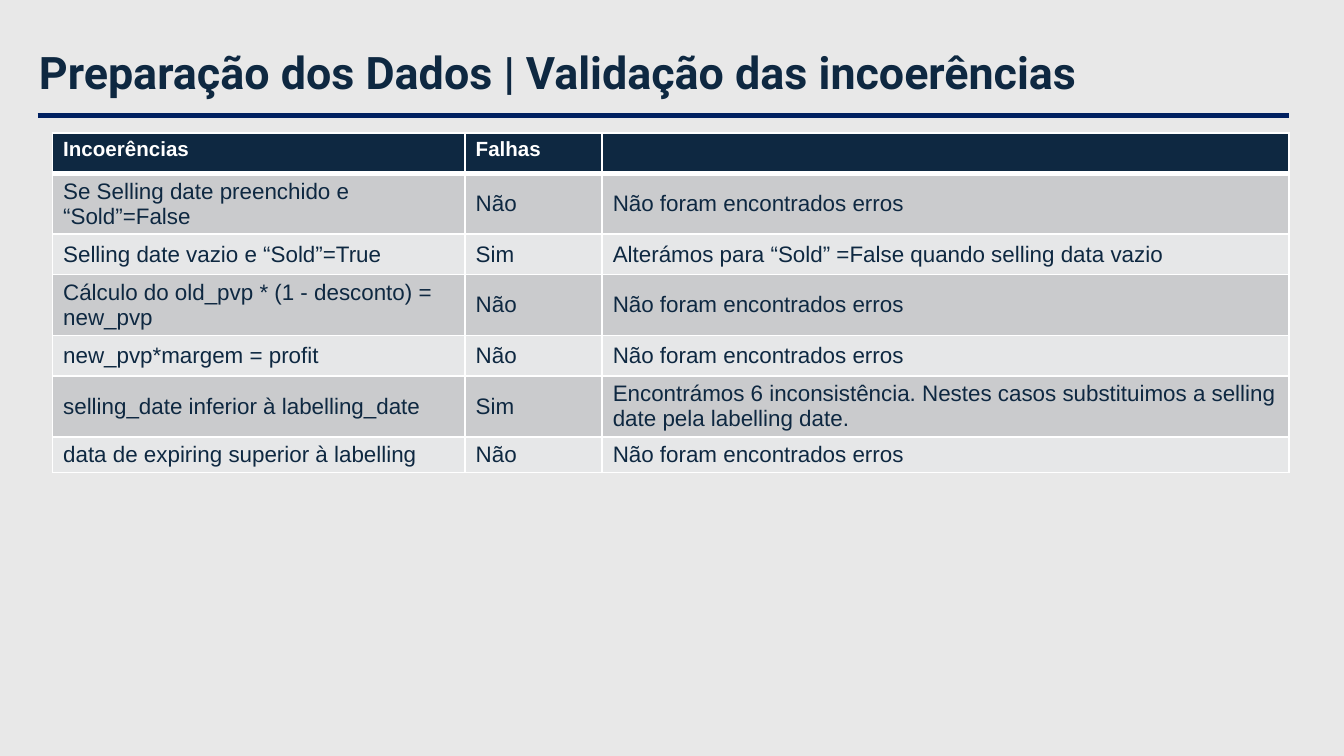
from lxml import etree
from pptx import Presentation
from pptx import util as u
from pptx.dml import color
from pptx.enum import shapes, text
from pptx.oxml import ns

NAVY = "0E2841"


def paint(target, value):
    target.solid()
    target.fore_color.rgb = color.RGBColor.from_string(value)


def style(para, font_name, size, value, bold):
    for span in para.runs:
        span.font.name = font_name
        span.font.size = u.Pt(size)
        span.font.bold = bold
        paint(span.font.fill, value)


deck = Presentation()
deck.slide_width, deck.slide_height = u.Inches(10), u.Inches(10 * 9 / 16)
page = deck.slides.add_slide(deck.slide_layouts[5])
paint(page.background.fill, "E8E8E8")

title = page.shapes.title
title.left, title.top = u.Inches(0.22), u.Inches(0.25)
title.width, title.height = u.Inches(9.09), u.Inches(0.61)
frame = title.text_frame
frame.text = "Preparação dos Dados | Validação das incoerências"
frame.word_wrap = True
frame.auto_size = text.MSO_AUTO_SIZE.NONE
frame.vertical_anchor = text.MSO_ANCHOR.MIDDLE
frame.margin_left = frame.margin_right = u.Inches(0.07)
frame.margin_top = frame.margin_bottom = u.Inches(0.04)
para = frame.paragraphs[0]
para.alignment = text.PP_ALIGN.LEFT
para.line_spacing = 0.9
style(para, "Roboto", 24, NAVY, True)

rule = page.shapes.add_connector(
    shapes.MSO_CONNECTOR.STRAIGHT,
    u.Inches(0.28), u.Inches(0.86), u.Inches(9.59), u.Inches(0.86))
paint(rule.line.fill, "002060")
rule.line.width = u.Pt(2.25)
etree.SubElement(rule._element.spPr, ns.qn("a:effectLst"))

NO_ERRORS = "Não foram encontrados erros"
rows = [
    ("Incoerências", "Falhas", ""),
    ("Se Selling date preenchido e “Sold”=False", "Não", NO_ERRORS),
    ("Selling date vazio e “Sold”=True", "Sim",
     "Alterámos para “Sold” =False quando selling data vazio"),
    ("Cálculo do old_pvp * (1 - desconto) = new_pvp", "Não", NO_ERRORS),
    ("new_pvp*margem = profit", "Não", NO_ERRORS),
    ("selling_date inferior à labelling_date", "Sim",
     "Encontrámos 6 inconsistência. Nestes casos substituimos a selling "
     "date pela labelling date."),
    ("data de expiring superior à labelling", "Não", NO_ERRORS),
]
widths = [3.07, 1.02, 5.11]
heights = [0.3, 0.45, 0.3, 0.45, 0.3, 0.45, 0.26]

table = page.shapes.add_table(
    len(rows), len(widths), u.Inches(0.39), u.Inches(0.99),
    u.Inches(sum(widths)), u.Inches(sum(heights))).table
for column, width in zip(table.columns, widths):
    column.width = u.Inches(width)

for r, (values, height) in enumerate(zip(rows, heights)):
    table.rows[r].height = u.Inches(height)
    header = r == 0
    fill = NAVY if header else ("E6E7E8", "CACBCD")[r % 2]
    for c, value in enumerate(values):
        cell = table.cell(r, c)
        cell.margin_left = cell.margin_right = u.Inches(0.08)
        cell.margin_top = cell.margin_bottom = u.Inches(0.04)
        borders = {"a:lnL": 1, "a:lnR": 1, "a:lnT": 3 if r == 1 else 1,
                   "a:lnB": 3 if header else 1}
        for side, points in borders.items():
            border = etree.SubElement(
                cell._tc.get_or_add_tcPr(), ns.qn(side), w=str(u.Pt(points)))
            ink = etree.SubElement(border, ns.qn("a:solidFill"))
            etree.SubElement(ink, ns.qn("a:srgbClr"), val="FFFFFF")
        paint(cell.fill, fill)
        para = cell.text_frame.paragraphs[0]
        if not value:
            etree.SubElement(para._p, ns.qn("a:endParaRPr"), sz="1100")
            continue
        para.text = value
        if header:
            style(para, "Arial", 11, "FFFFFF", True)
        else:
            cell.vertical_anchor = text.MSO_ANCHOR.MIDDLE
            style(para, "Arial", 12, NAVY, False)

deck.save("out.pptx")
